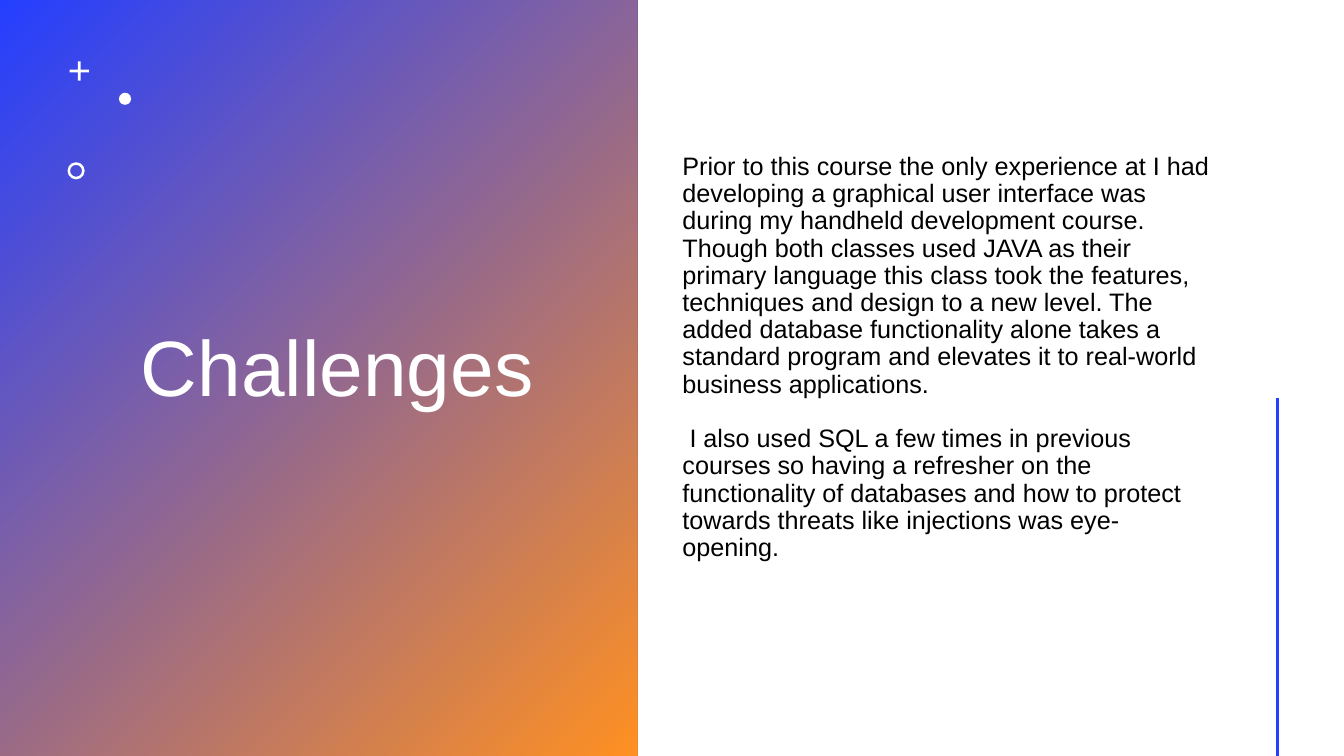
from pptx import Presentation
from pptx.dml.color import RGBColor
from pptx.enum import shapes, text
from pptx.oxml import xmlchemy
from pptx.util import Inches, Pt

COLORS = {"blue": "243FFF", "orange": "FF9022", "white": "FFFFFF", "black": "000000"}
SLIDE_WIDTH, SLIDE_HEIGHT = 13.33, 7.5
TITLE = "Challenges"
REFLECTIONS = [
    "Prior to this course the only experience at I had developing a graphical user "
    "interface was during my handheld development course. Though both classes used JAVA "
    "as their primary language this class took the features, techniques and design to a "
    "new level. The added database functionality alone takes a standard program and "
    "elevates it to real-world business applications.",
    "I also used SQL a few times in previous courses so having a refresher on the "
    "functionality of databases and how to protect towards threats like injections was "
    "eye-opening.",
]


def color(name):
    return RGBColor.from_string(COLORS[name])


def add_shape(page, kind, left, top, width, height):
    """Add a preset shape without outline or shadow."""
    shape = page.shapes.add_shape(
        kind, Inches(left), Inches(top), Inches(width), Inches(height))
    shape.shadow.inherit = False
    shape.line.fill.background()
    return shape


def add_text(page, left, top, width, height, paragraphs, size, color_name):
    """Add vertically centred text and return its paragraphs."""
    box = page.shapes.add_textbox(
        Inches(left), Inches(top), Inches(width), Inches(height))
    frame = box.text_frame
    frame.word_wrap = True
    frame.vertical_anchor = text.MSO_ANCHOR.MIDDLE
    frame.text = "\n".join(paragraphs)
    for para in frame.paragraphs:
        para.line_spacing = 0.9
        for name, value in {"name": "Arial", "size": Pt(size)}.items():
            setattr(para.font, name, value)
        para.font.color.rgb = color(color_name)
    return frame.paragraphs


def add_ornaments(page, left, top):
    """Scatter a plus, a dot and a ring from the given corner."""
    kinds = shapes.MSO_SHAPE
    for kind, across, down, size, adjustment in [
        (kinds.CROSS, 0.02, 0, 0.19, 0.43),
        (kinds.OVAL, 0.51, 0.31, 0.12, None),
        (kinds.DONUT, 0, 1, 0.17, 0.15),
    ]:
        mark = add_shape(page, kind, left + across, top + down, size, size)
        mark.fill.solid()
        mark.fill.fore_color.rgb = color("white")
        if adjustment is not None:
            mark.adjustments[0] = adjustment


def add_title_panel(page, left, top, width, height):
    panel = add_shape(page, shapes.MSO_SHAPE.RECTANGLE, left, top, width, height)
    panel.fill.gradient()
    panel.fill.gradient_angle = 315
    for stop, name in zip(panel.fill.gradient_stops, ("blue", "orange")):
        stop.color.rgb = color(name)
    add_text(page, left + 1.3, top + 0.42, 4.38, 6.53, [TITLE], 56, "white")
    add_ornaments(page, left + 0.67, top + 0.61)


def add_reflections(page, left, top, width, height):
    paragraphs = add_text(page, left + 0.35, top + 0.42, 5.45, 6.26,
                          REFLECTIONS, 18, "black")
    second = paragraphs[1]
    second.space_before = Pt(19.5)
    second._p.get_or_add_pPr().set("indent", str(Inches(0.07)))

    accent_x = Inches(left + width - 0.66)
    accent = page.shapes.add_connector(
        shapes.MSO_CONNECTOR.STRAIGHT, accent_x, Inches(top + 3.95),
        accent_x, Inches(top + height))
    accent.line.color.rgb = color("blue")
    accent.line.width = Pt(2)
    accent._element.spPr.append(xmlchemy.OxmlElement("a:effectLst"))


def main():
    deck = Presentation()
    deck.slide_width, deck.slide_height = Inches(SLIDE_WIDTH), Inches(SLIDE_HEIGHT)
    page = deck.slides.add_slide(deck.slide_layouts[6])
    page.background.fill.solid()
    page.background.fill.fore_color.rgb = color("white")
    panel_width = 6.32
    add_title_panel(page, 0, 0, panel_width, SLIDE_HEIGHT)
    add_reflections(page, panel_width, 0, SLIDE_WIDTH - panel_width, SLIDE_HEIGHT)
    deck.save("out.pptx")


if __name__ == "__main__":
    main()
